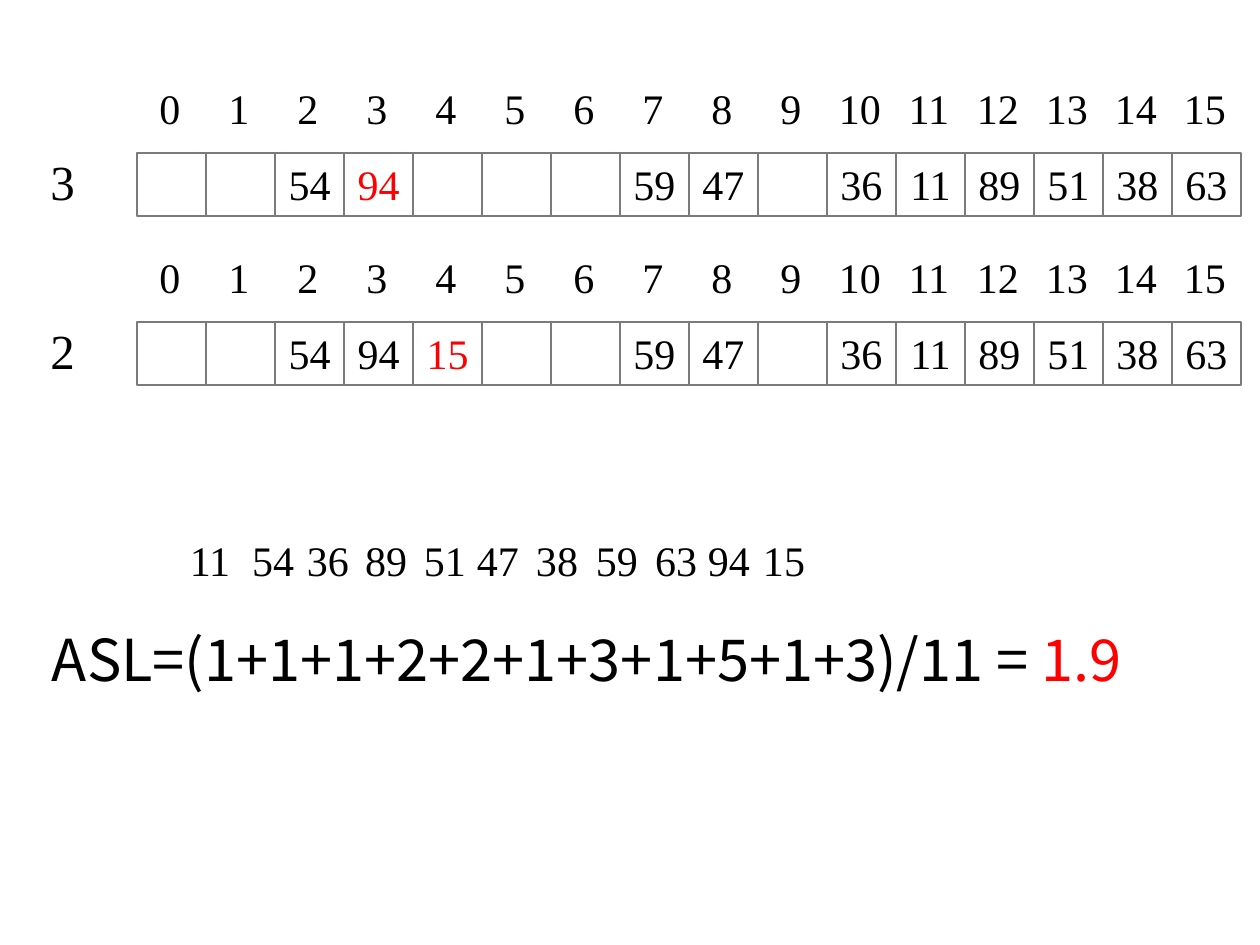
import pptx
import pptx.util
import pptx.dml.color
import pptx.enum.shapes
import pptx.enum.text

# Content: hash tables as (label, keys by slot, newly inserted key)
HASH_TABLES = [
    ("3", ["", "", "54", "94", "", "", "", "59", "47", "",
           "36", "11", "89", "51", "38", "63"], "94"),
    ("2", ["", "", "54", "94", "15", "", "", "59", "47", "",
           "36", "11", "89", "51", "38", "63"], "15"),
]
# Keys in order of insertion, with the left edge of each in px
INSERTED_KEYS = [("11", 168), ("54", 231), ("36", 286), ("89", 344), ("51", 403),
                 ("47", 456), ("38", 515), ("59", 575), ("63", 634), ("94", 687),
                 ("15", 742)]
ASL_FORMULA = [("ASL=(1+1+1+2+2+1+3+1+5+1+3)/11 = ", "ink"), ("1.9", "accent")]

THEME = {
    "ink": pptx.dml.color.RGBColor(0x00, 0x00, 0x00),
    "accent": pptx.dml.color.RGBColor(0xFF, 0x00, 0x00),
    "border": pptx.dml.color.RGBColor(0x79, 0x7B, 0x7E),
    "serif": "Times New Roman",
    "sans": "Noto Sans CJK SC",
    "key_size": 24,
    "label_size": 28,
    "formula_size": 33,
    "border_width": 0.75,
}

# Geometry in px
PX = pptx.util.Inches(1) / 126
SLIDE_W, SLIDE_H = 1260, 945
SLOT_LEFT, SLOT_STEP, SLOT_H = 137, 69, 63
INDEX_W, INDEX_RISE = 66, 76
TABLE_TOP, TABLE_STEP = 153, 169
INSET_X, INSET_Y, INDEX_INSET = 13, 6, 5


def px(length):
    return pptx.util.Emu(round(length * PX))


def box(left, top, width, height):
    return px(left), px(top), px(width), px(height)


def prepare_frame(shape, inset_x=INSET_X):
    frame = shape.text_frame
    frame.word_wrap = True
    frame.auto_size = pptx.enum.text.MSO_AUTO_SIZE.SHAPE_TO_FIT_TEXT
    frame.vertical_anchor = pptx.enum.text.MSO_ANCHOR.TOP
    frame.margin_left = frame.margin_right = px(inset_x)
    frame.margin_top = frame.margin_bottom = px(INSET_Y)
    return frame.paragraphs[0]


def write_number(shape, text, size=THEME["key_size"], color="ink", inset_x=INSET_X):
    number = prepare_frame(shape, inset_x)
    number.text = text
    number.alignment = pptx.enum.text.PP_ALIGN.CENTER
    number.font.name = THEME["serif"]
    number.font.size = pptx.util.Pt(size)
    number.font.color.rgb = THEME[color]


def draw_hash_table(slide, top, label, keys, new_key):
    table = slide.shapes.add_group_shape().shapes
    for index, key in enumerate(keys):
        left = SLOT_LEFT + index * SLOT_STEP
        heading = table.add_textbox(*box(left, top - INDEX_RISE, INDEX_W, SLOT_H))
        write_number(heading, str(index),
                     inset_x=INDEX_INSET if index > 9 else INSET_X)
        slot = table.add_shape(pptx.enum.shapes.MSO_SHAPE.RECTANGLE,
                               *box(left, top, SLOT_STEP, SLOT_H))
        slot.shadow.inherit = False
        slot.fill.background()
        slot.line.color.rgb = THEME["border"]
        slot.line.width = pptx.util.Pt(THEME["border_width"])
        if key:
            write_number(slot, key, color="accent" if key == new_key else "ink",
                         inset_x=0)
    row_label = slide.shapes.add_textbox(*box(0, top - 8, 125, 72))
    write_number(row_label, label, THEME["label_size"])


def draw_search_length(slide):
    group = slide.shapes.add_group_shape().shapes
    formula = prepare_frame(group.add_textbox(*box(39, 604, 1103, 86)))
    formula.alignment = pptx.enum.text.PP_ALIGN.JUSTIFY
    formula.line_spacing = 1.2
    formula.space_before = pptx.util.Pt(8)
    formula.font.name = THEME["sans"]
    formula.font.size = pptx.util.Pt(THEME["formula_size"])
    for text, color in ASL_FORMULA:
        run = formula.add_run()
        run.text = text
        run.font.color.rgb = THEME[color]
    for key, left in INSERTED_KEYS:
        write_number(group.add_textbox(*box(left, 529, 84, SLOT_H)), key)


def main():
    deck = pptx.Presentation()
    deck.slide_width, deck.slide_height = px(SLIDE_W), px(SLIDE_H)
    slide = deck.slides.add_slide(deck.slide_layouts[6])
    # Two states of the hash table
    for row, (label, keys, new_key) in enumerate(HASH_TABLES):
        draw_hash_table(slide, TABLE_TOP + row * TABLE_STEP, label, keys, new_key)
    # Average search length
    draw_search_length(slide)
    deck.save("out.pptx")


if __name__ == "__main__":
    main()
